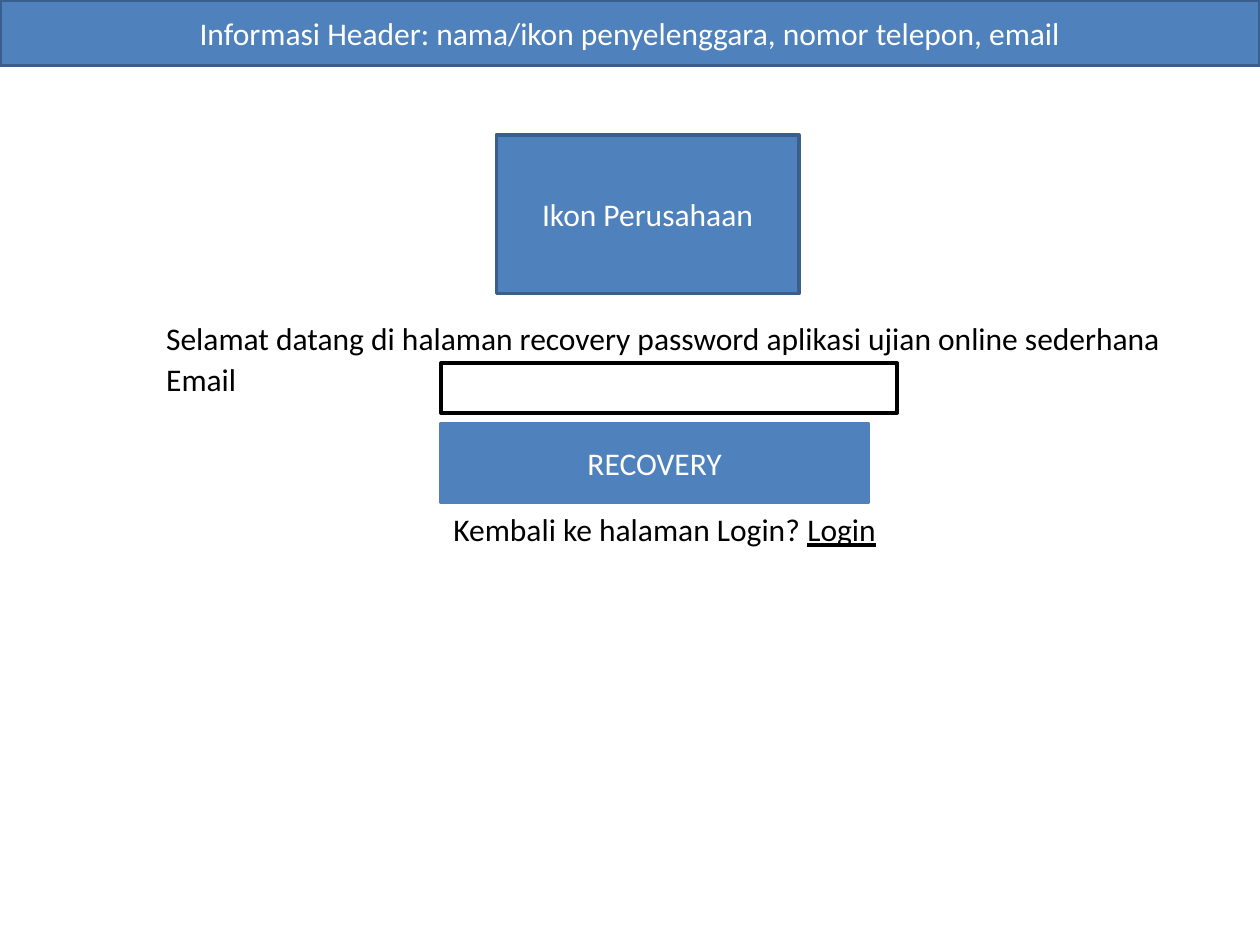
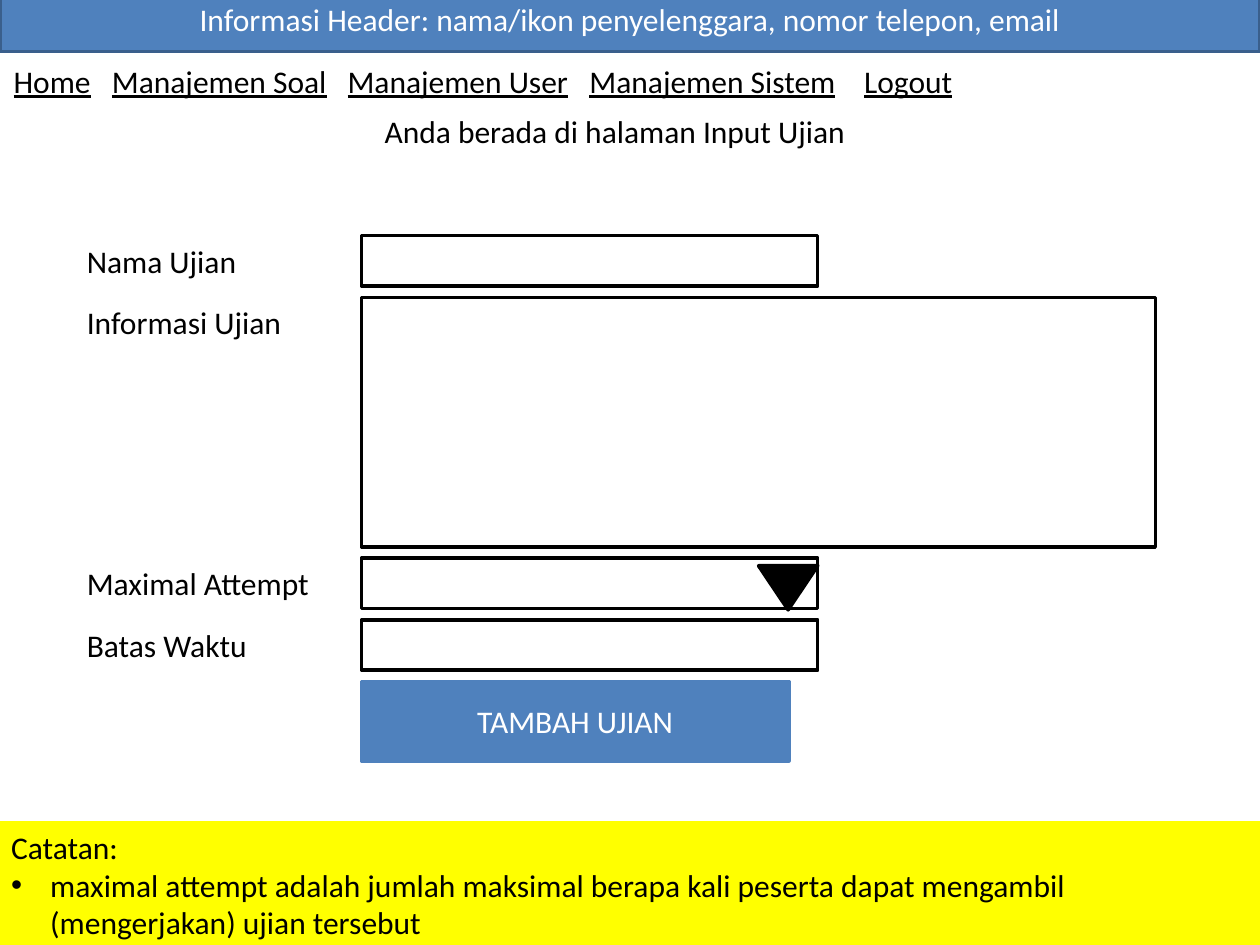
"""Builds two wireframe slides of an online exam application: password recovery and exam input."""
from dataclasses import dataclass
from typing import Optional

from lxml import etree
from pptx import Presentation, util as u
from pptx.dml.color import RGBColor
from pptx.enum import shapes, text
from pptx.oxml import ns

BLUE = RGBColor(0x4F, 0x81, 0xBD)
DARK_BLUE = RGBColor(0x3A, 0x5F, 0x8C)
YELLOW = RGBColor(0xFF, 0xFF, 0x00)
BLACK = RGBColor(0, 0, 0)
WHITE = RGBColor(0xFF, 0xFF, 0xFF)

BODY_FONT = {"name": "Calibri", "size": u.Pt(18)}
FRAME = {"word_wrap": True, "auto_size": text.MSO_AUTO_SIZE.SHAPE_TO_FIT_TEXT}
CENTRED_FRAME = {"word_wrap": True, "vertical_anchor": text.MSO_ANCHOR.MIDDLE}

HEADER = "Informasi Header: nama/ikon penyelenggara, nomor telepon, email"
LINE_HEIGHT = 0.4
ROW_GAP = 0.09
LABEL_WIDTH = 2.28
FIELD_WIDTH = 3.62
BUTTON_SIZE = (3.39, 0.63)


@dataclass(frozen=True)
class Area:
    left: float
    top: float
    width: float
    height: float = LINE_HEIGHT

    def lengths(self):
        return [u.Inches(side) for side in (self.left, self.top, self.width, self.height)]


@dataclass(frozen=True)
class Field:
    label: str
    width: float = FIELD_WIDTH
    height: float = LINE_HEIGHT
    dropdown: bool = False


@dataclass(frozen=True)
class MenuLink:
    caption: str
    tab: Optional[float] = None


EXAM_FIELDS = (
    Field("Nama Ujian"),
    Field("Informasi Ujian", width=6.3, height=1.98),
    Field("Maximal Attempt", dropdown=True),
    Field("Batas Waktu"),
)
MENU = (
    MenuLink("Home"),
    MenuLink("Manajemen Soal", 0.78),
    MenuLink("Manajemen User", 2.65),
    MenuLink("Manajemen Sistem", 4.57),
    MenuLink("Logout", 6.75),
)


def apply(target, values: dict) -> None:
    for attribute, value in values.items():
        setattr(target, attribute, value)


def add_run(paragraph, words: str, color: RGBColor = BLACK, **extra) -> None:
    run = paragraph.add_run()
    run.text = words
    apply(run.font, {**BODY_FONT, **extra})
    run.font.color.rgb = color


def add_box(slide, area: Area, fill: RGBColor, line: RGBColor, caption: str = "",
            kind=shapes.MSO_SHAPE.RECTANGLE):
    box = slide.shapes.add_shape(kind, *area.lengths())
    box.shadow.inherit = False
    box.fill.solid()
    box.fill.fore_color.rgb = fill
    box.line.color.rgb = line
    box.line.width = u.Pt(2)
    if caption:
        apply(box.text_frame, CENTRED_FRAME)
        paragraph = box.text_frame.paragraphs[0]
        paragraph.alignment = text.PP_ALIGN.CENTER
        add_run(paragraph, caption, WHITE)
    return box


def add_text(slide, area: Area, words: str = "", align=text.PP_ALIGN.LEFT):
    label = slide.shapes.add_textbox(*area.lengths())
    apply(label.text_frame, FRAME)
    paragraph = label.text_frame.paragraphs[0]
    paragraph.alignment = align
    if words:
        add_run(paragraph, words)
    return label


def add_header(slide, top: float) -> None:
    add_box(slide, Area(0, top, 10, 0.52), BLUE, DARK_BLUE, HEADER)


def add_button(slide, left: float, top: float, caption: str) -> None:
    add_box(slide, Area(left, top, *BUTTON_SIZE), BLUE, BLUE, caption)


def add_field(slide, field: Field, label_left: float, field_left: float, top: float,
              label_rise: float = 0) -> None:
    add_text(slide, Area(label_left, top - label_rise, LABEL_WIDTH), field.label)
    add_box(slide, Area(field_left, top, field.width, field.height), WHITE, BLACK)
    if field.dropdown:
        arrow_width = 0.47
        arrow = add_box(slide, Area(field_left + field.width - arrow_width, top + 0.06, arrow_width, 0.35),
                        BLACK, BLACK, kind=shapes.MSO_SHAPE.ISOSCELES_TRIANGLE)
        arrow.rotation = 180


def add_menu(slide) -> None:
    paragraph = add_text(slide, Area(0.01, 0.44, 9.99)).text_frame.paragraphs[0]
    stops = etree.SubElement(paragraph._p.get_or_add_pPr(), ns.qn("a:tabLst"))
    for link in MENU:
        if link.tab is not None:
            etree.SubElement(stops, ns.qn("a:tab"), pos=str(u.Inches(link.tab)), algn="l")
            add_run(paragraph, "\t")
        add_run(paragraph, link.caption, underline=True)


def add_note(slide, title: str, point: str) -> None:
    note = add_text(slide, Area(-0.01, 6.52, 10.01, 1.01), title)
    note.fill.solid()
    note.fill.fore_color.rgb = YELLOW
    note.line.color.rgb = YELLOW
    note.line.width = u.Pt(0.75)
    bullet = note.text_frame.add_paragraph()
    add_run(bullet, point)
    properties = bullet._p.get_or_add_pPr()
    indent = u.Inches(0.31)
    properties.set("marL", str(indent))
    properties.set("indent", str(-indent))
    etree.SubElement(properties, ns.qn("a:buFont"), typeface="Arial")
    etree.SubElement(properties, ns.qn("a:buChar"), char="•")


def build_recovery(slide) -> None:
    label_left, field_left = 1.22, 3.5
    add_header(slide, 0)
    add_box(slide, Area(3.94, 1.07, 2.4, 1.26), BLUE, DARK_BLUE, "Ikon Perusahaan")
    add_text(slide, Area(label_left, 2.48, 8.58),
             "Selamat datang di halaman recovery password aplikasi ujian online sederhana")
    add_field(slide, Field("Email"), label_left, field_left, 2.88, label_rise=0.07)
    add_button(slide, field_left, 3.36, "RECOVERY")
    login = add_text(slide, Area(field_left, 4, 4.33), "Kembali ke halaman Login? ")
    add_run(login.text_frame.paragraphs[0], "Login", underline=True)


def build_exam_input(slide) -> None:
    label_left, field_left, top = 0.59, 2.87, 1.87
    add_header(slide, -0.11)
    add_menu(slide)
    add_text(slide, Area(label_left, 0.84, 8.58), "Anda berada di halaman Input Ujian",
             text.PP_ALIGN.CENTER)
    for field in EXAM_FIELDS:
        add_field(slide, field, label_left, field_left, top)
        top += field.height + ROW_GAP
    add_button(slide, field_left, top, "TAMBAH UJIAN")
    add_note(slide, "Catatan:",
             "maximal attempt adalah jumlah maksimal berapa kali peserta dapat mengambil "
             "(mengerjakan) ujian tersebut")


def main() -> None:
    deck = Presentation()
    apply(deck, {"slide_width": u.Inches(10), "slide_height": u.Inches(7.5)})
    for build in (build_recovery, build_exam_input):
        build(deck.slides.add_slide(deck.slide_layouts[6]))
    deck.save("out.pptx")


main()
